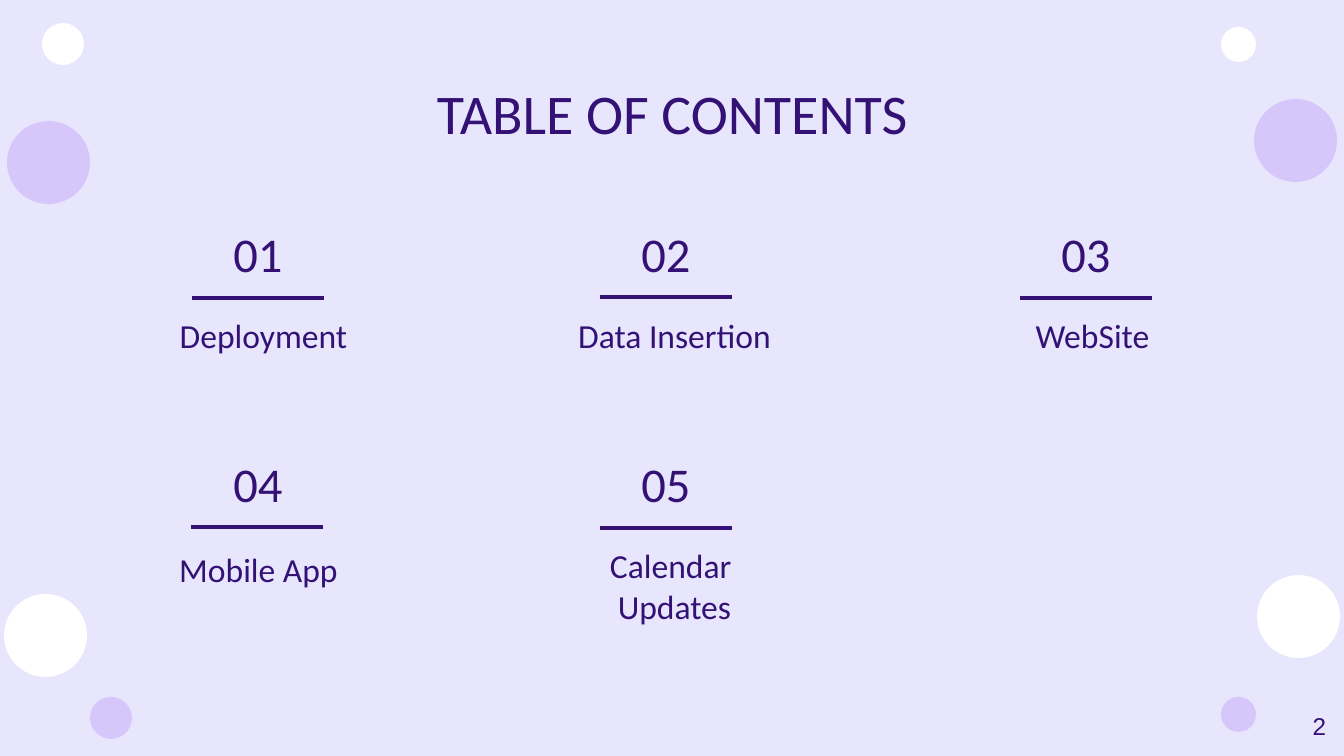
from lxml import etree
from pptx import Presentation
from pptx.dml.color import RGBColor
from pptx.enum.shapes import MSO_CONNECTOR, MSO_SHAPE
from pptx.enum.text import MSO_ANCHOR, PP_ALIGN
from pptx.oxml.ns import qn
from pptx.util import Pt

OVAL, LINE = MSO_SHAPE.OVAL, MSO_CONNECTOR.STRAIGHT
TOP, MID, LOW = MSO_ANCHOR.TOP, MSO_ANCHOR.MIDDLE, MSO_ANCHOR.BOTTOM
MID_X, RIGHT = PP_ALIGN.CENTER, PP_ALIGN.RIGHT

PALE = RGBColor(0xE7, 0xE6, 0xFD)
LILAC = RGBColor(0xD7, 0xC6, 0xFA)
WHITE = RGBColor(0xFF, 0xFF, 0xFF)
INK = RGBColor(0x34, 0x12, 0x75)

WIDE, HIGH = 1344, 756
SCALE = 9144000 / WIDE  # EMU in one px
PAD = 13

# Left, top, size, colour
DOTS = [
    (1221, 27, 35, WHITE), (7, 121, 83, LILAC), (42, 23, 42, WHITE),
    (90, 697, 42, LILAC), (4, 594, 83, WHITE), (1221, 697, 35, LILAC),
    (1257, 575, 83, WHITE), (1254, 99, 83, LILAC),
]
COLS, ROWS = (204, 612, 1032), (220, 450)
CELL = (108, 66)

# Label, its offset from the cell, its bottom inset, rule offset
ITEMS = [
    ("Deployment", (-110, 54), PAD, (-12, 78)),
    ("Data Insertion", (-107, 54), PAD, (-12, 77)),
    ("WebSite", (-109, 54), PAD, (-12, 78)),
    ("Mobile App", (-115, 58), PAD, (-13, 77)),
    ("Calendar \nUpdates", (-107, 136), 54, (-12, 78)),
]


def px(*nums):
    return [round(n * SCALE) for n in nums]


def write(slide, text, box, size, font="Calibri", align=MID_X, anchor=TOP,
          foot=PAD):
    frame = slide.shapes.add_textbox(*px(*box)).text_frame
    frame.word_wrap = True
    frame.vertical_anchor = anchor
    frame.margin_left, frame.margin_top, frame.margin_right, \
        frame.margin_bottom = px(PAD, PAD, PAD, foot)
    frame.text = text
    for para in frame.paragraphs:
        para.alignment = align
        para.font.size = Pt(size)
        para.font.name = font
        para.font.color.rgb = INK


def draw_dots(slide, box):
    left, top = box[:2]
    for x, y, size, tint in DOTS:
        dot = slide.shapes.add_shape(OVAL, *px(left + x, top + y, size, size))
        dot.shadow.inherit = False
        dot.fill.solid()
        dot.fill.fore_color.rgb = tint
        dot.line.fill.background()


def draw_rule(slide, x, y, width):
    rule = slide.shapes.add_connector(LINE, *px(x, y, x + width, y))
    rule.line.color.rgb = INK
    rule.line.width = Pt(2.25)
    props = rule._element.find(qn("p:spPr"))
    etree.SubElement(props, qn("a:effectLst"))


def draw_item(slide, box, num, label, shift, foot, bar):
    x, y = box[:2]
    write(slide, f"{num:02}", box, 26, anchor=MID)
    draw_rule(slide, x + bar[0], y + bar[1], 132)
    write(slide, label, (x + shift[0], y + shift[1], 339, 94), 18,
          anchor=LOW, foot=foot)


def main():
    deck = Presentation()
    deck.slide_width, deck.slide_height = px(WIDE, HIGH)
    slide = deck.slides.add_slide(deck.slide_layouts[6])
    slide.background.fill.solid()
    slide.background.fill.fore_color.rgb = PALE

    # Backdrop and title
    draw_dots(slide, (0, 0, WIDE, HIGH))
    write(slide, "TABLE OF CONTENTS", (106, 66, 1133, 84), 30)

    # Contents grid
    for i, item in enumerate(ITEMS):
        row, col = divmod(i, len(COLS))
        draw_item(slide, (COLS[col], ROWS[row], *CELL), i + 1, *item)

    # Page number
    write(slide, "2", (1258, 698, 81, 58), 13, font="Arial", align=RIGHT)
    deck.save("out.pptx")


if __name__ == "__main__":
    main()
